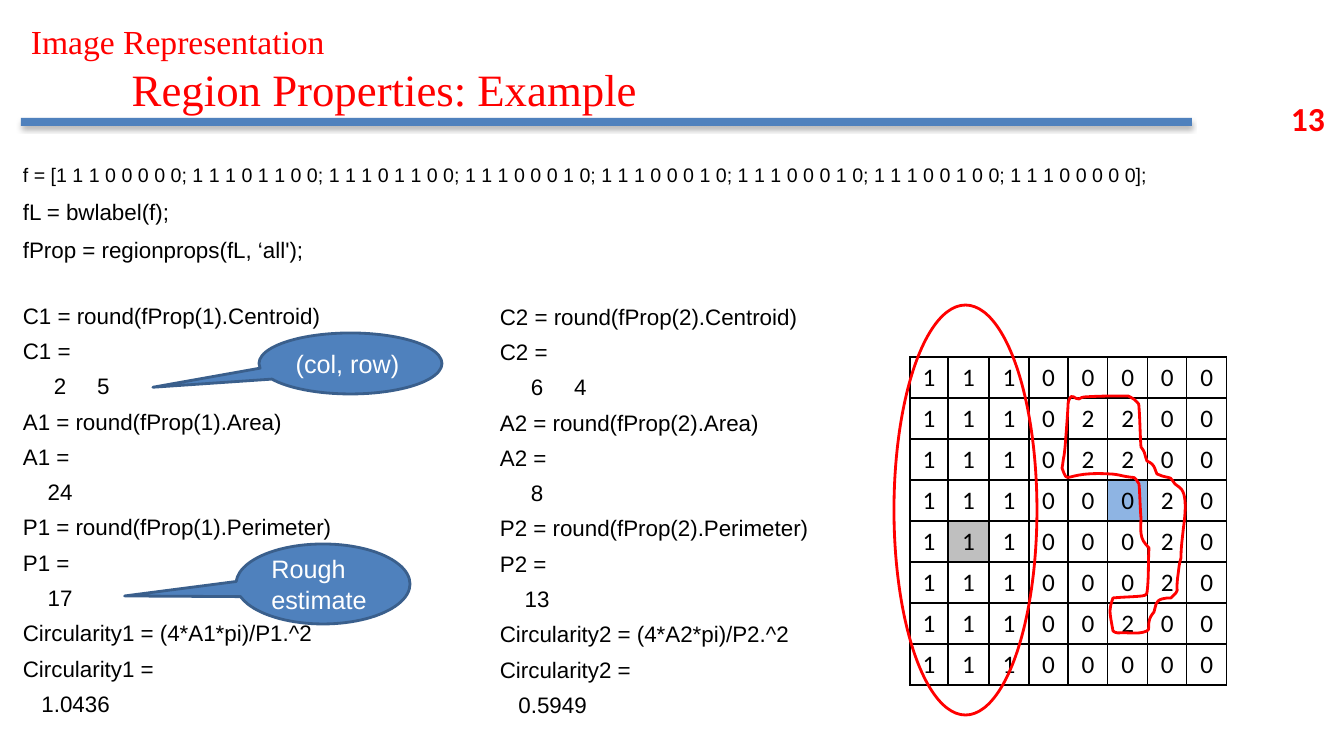
from lxml.etree import SubElement
from pptx import Presentation
from pptx.dml.color import RGBColor
from pptx.enum.shapes import MSO_SHAPE
from pptx.enum.text import MSO_ANCHOR, PP_ALIGN
from pptx.oxml import parse_xml
from pptx.oxml.ns import nsdecls, qn
from pptx.util import Emu, Pt

RED = RGBColor(0xFF, 0x00, 0x00)
BLACK = RGBColor(0x00, 0x00, 0x00)
WHITE = RGBColor(0xFF, 0xFF, 0xFF)
BLUE = RGBColor(0x4F, 0x81, 0xBD)
DARK_BLUE = RGBColor(0x3A, 0x5F, 0x8C)
LIGHT_BLUE = RGBColor(0x8E, 0xB4, 0xE3)
GRAY = RGBColor(0xBF, 0xBF, 0xBF)
PX = 914400 / 100.8


def px(*lengths):
    return [Emu(round(n * PX)) for n in lengths]


def write(tf, lines, font, color, after=0, align=PP_ALIGN.LEFT):
    for i, (text, size) in enumerate(lines):
        p = tf.add_paragraph() if i else tf.paragraphs[0]
        p.alignment = align
        p.space_after = Pt(after)
        r = p.add_run()
        r.text = text
        r.font.size = Pt(size)
        r.font.name = font
        r.font.color.rgb = color


prs = Presentation()
prs.slide_width, prs.slide_height = px(1344, 756)
s = prs.slides.add_slide(prs.slide_layouts[6])

bar = s.shapes.add_shape(MSO_SHAPE.RECTANGLE, *px(21, 118, 1171, 8))
bar.fill.solid()
bar.fill.fore_color.rgb = BLUE
bar.line.fill.background()
bar._element.spPr.append(parse_xml(
    f'<a:effectLst {nsdecls("a")}>'
    '<a:outerShdw blurRad="44450" dist="27940" dir="5400000" rotWithShape="0">'
    '<a:srgbClr val="000000"><a:alpha val="32000"/></a:srgbClr>'
    '</a:outerShdw></a:effectLst>'))

number = s.shapes.add_textbox(*px(1281, 93, 59, 50)).text_frame
number.word_wrap = False
write(number, [("13", 24)], "Calibri", RED)
number.paragraphs[0].runs[0].font.bold = True

code = s.shapes.add_textbox(*px(13, 156, 1223, 588)).text_frame
code.word_wrap = True
write(code, [
    ("f = [1 1 1 0 0 0 0 0; 1 1 1 0 1 1 0 0; 1 1 1 0 1 1 0 0; 1 1 1 0 0 0 1 0; "
     "1 1 1 0 0 0 1 0; 1 1 1 0 0 0 1 0; 1 1 1 0 0 1 0 0; 1 1 1 0 0 0 0 0];", 14),
    ("fL = bwlabel(f);", 16),
    ("fProp = regionprops(fL, ‘all');", 16),
], "Arial", BLACK, 6, PP_ALIGN.JUSTIFY)
hang = px(38)[0]
for p in code.paragraphs:
    p.line_spacing = 1.1
    pPr = p._p.get_or_add_pPr()
    pPr.set("marL", str(hang))
    pPr.set("indent", str(-hang))

title = s.shapes.add_textbox(*px(21, 16, 1029, 95)).text_frame
title.word_wrap = True
write(title, [("Image Representation", 24), ("\tRegion Properties: Example", 32)],
      "Times New Roman", RED)
tabs = SubElement(title.paragraphs[1]._p.get_or_add_pPr(), qn("a:tabLst"))
SubElement(tabs, qn("a:tab"), pos="914400", algn="l")

labels = ["11100000", "11102200", "11102200", "11100020",
          "11100020", "11100020", "11100200", "11100000"]
centroids = {(3, 5): LIGHT_BLUE, (4, 1): GRAY}
widths = [38, 41, 40, 39, 40, 40, 39, 40]
table = s.shapes.add_table(8, 8, *px(910, 357, sum(widths), 328)).table
table.first_row = False
table.horz_banding = False
for column, width in zip(table.columns, px(*widths)):
    column.width = width
for i, row in enumerate(labels):
    table.rows[i].height = px(41)[0]
    for j, label in enumerate(row):
        cell = table.cell(i, j)
        write(cell.text_frame, [(label, 18)], "Calibri", BLACK, 0, PP_ALIGN.CENTER)
        tcPr = cell._tc.get_or_add_tcPr()
        for side in ("a:lnL", "a:lnR", "a:lnT", "a:lnB"):
            ln = SubElement(tcPr, qn(side), w="12700")
            fill = SubElement(ln, qn("a:solidFill"))
            SubElement(fill, qn("a:srgbClr"), val=str(BLACK))
        if (i, j) in centroids:
            cell.fill.solid()
            cell.fill.fore_color.rgb = centroids[i, j]
        else:
            cell.fill.background()

start = (1069, 400)
curves = [
    (1067, 408, 1070, 386, 1065, 448), (1065, 451, 1064, 454, 1064, 456),
    (1063, 460, 1063, 464, 1062, 468), (1069, 487, 1062, 471, 1110, 474),
    (1114, 474, 1119, 475, 1123, 476), (1138, 479, 1133, 475, 1139, 484),
    (1140, 495, 1140, 506, 1141, 518), (1141, 525, 1140, 532, 1142, 538),
    (1143, 542, 1149, 548, 1149, 548), (1148, 563, 1149, 578, 1147, 593),
    (1147, 595, 1144, 596, 1142, 596), (1133, 597, 1123, 597, 1113, 598),
    (1109, 610, 1109, 609, 1113, 631), (1114, 633, 1116, 632, 1118, 633),
    (1128, 632, 1138, 635, 1147, 631), (1150, 630, 1148, 625, 1149, 622),
    (1150, 617, 1151, 616, 1154, 612), (1156, 606, 1155, 601, 1162, 599),
    (1165, 598, 1168, 598, 1171, 598), (1181, 588, 1175, 596, 1178, 575),
    (1179, 568, 1179, 564, 1181, 558), (1181, 549, 1182, 541, 1183, 532),
    (1183, 529, 1188, 503, 1183, 492), (1182, 490, 1181, 488, 1179, 487),
    (1178, 486, 1176, 485, 1175, 484), (1169, 476, 1173, 479, 1162, 476),
    (1162, 476, 1157, 474, 1157, 474), (1155, 470, 1155, 467, 1152, 464),
    (1151, 463, 1149, 462, 1147, 461), (1143, 450, 1146, 454, 1141, 447),
    (1140, 433, 1140, 420, 1139, 407), (1139, 405, 1139, 403, 1137, 402),
    (1135, 399, 1128, 396, 1128, 396), (1113, 396, 1099, 396, 1084, 397),
    (1082, 397, 1081, 398, 1079, 399), (1075, 400, 1072, 392, 1069, 400),
]
points = [px(*curve[k:k + 2]) for curve in curves for k in (0, 2, 4)]
builder = s.shapes.build_freeform(*px(*start), scale=1.0)
builder.add_line_segments(points, close=True)
region2 = builder.convert_to_shape()
segments = list(region2._element.iter(qn("a:lnTo")))
for k in range(0, len(curves) * 3, 3):
    bezier = parse_xml(f'<a:cubicBezTo {nsdecls("a")}/>')
    segments[k].addprevious(bezier)
    for segment in segments[k:k + 3]:
        bezier.append(segment[0])
        segment.getparent().remove(segment)

region1 = s.shapes.add_shape(MSO_SHAPE.OVAL, *px(894, 305, 143, 410))
for outline in (region2, region1):
    outline.shadow.inherit = False
    outline.fill.background()
    outline.line.color.rgb = RED
    outline.line.width = Pt(2)

callouts = [
    ("(col, row)", (259, 333, 183, 61), (-1.08, 0.39)),
    ("Rough estimate", (236, 544, 174, 80), (-1.14, 0.15)),
]
for text, box, tip in callouts:
    sp = s.shapes.add_shape(MSO_SHAPE.OVAL_CALLOUT, *px(*box))
    sp.adjustments[0], sp.adjustments[1] = tip
    sp.shadow.inherit = False
    sp.fill.solid()
    sp.fill.fore_color.rgb = BLUE
    sp.line.color.rgb = DARK_BLUE
    sp.line.width = Pt(2)
    sp.text_frame.word_wrap = True
    sp.text_frame.vertical_anchor = MSO_ANCHOR.MIDDLE
    write(sp.text_frame, [(text, 18)], "Arial", WHITE, 6)

results = [
    (2, (490, 298, 391, 429), "     6     4", "     8", "    13", "   0.5949"),
    (1, (13, 297, 452, 429), "     2     5", "    24", "    17", "   1.0436"),
]
for n, box, centroid, area, perimeter, circularity in results:
    tf = s.shapes.add_textbox(*px(*box)).text_frame
    tf.word_wrap = True
    lines = [
        f"C{n} = round(fProp({n}).Centroid)", f"C{n} =", centroid,
        f"A{n} = round(fProp({n}).Area)", f"A{n} =", area,
        f"P{n} = round(fProp({n}).Perimeter)", f"P{n} =", perimeter,
        f"Circularity{n} = (4*A{n}*pi)/P{n}.^2", f"Circularity{n} =", circularity,
    ]
    write(tf, [(line, 16) for line in lines], "Arial", BLACK, 6)

prs.save("out.pptx")
